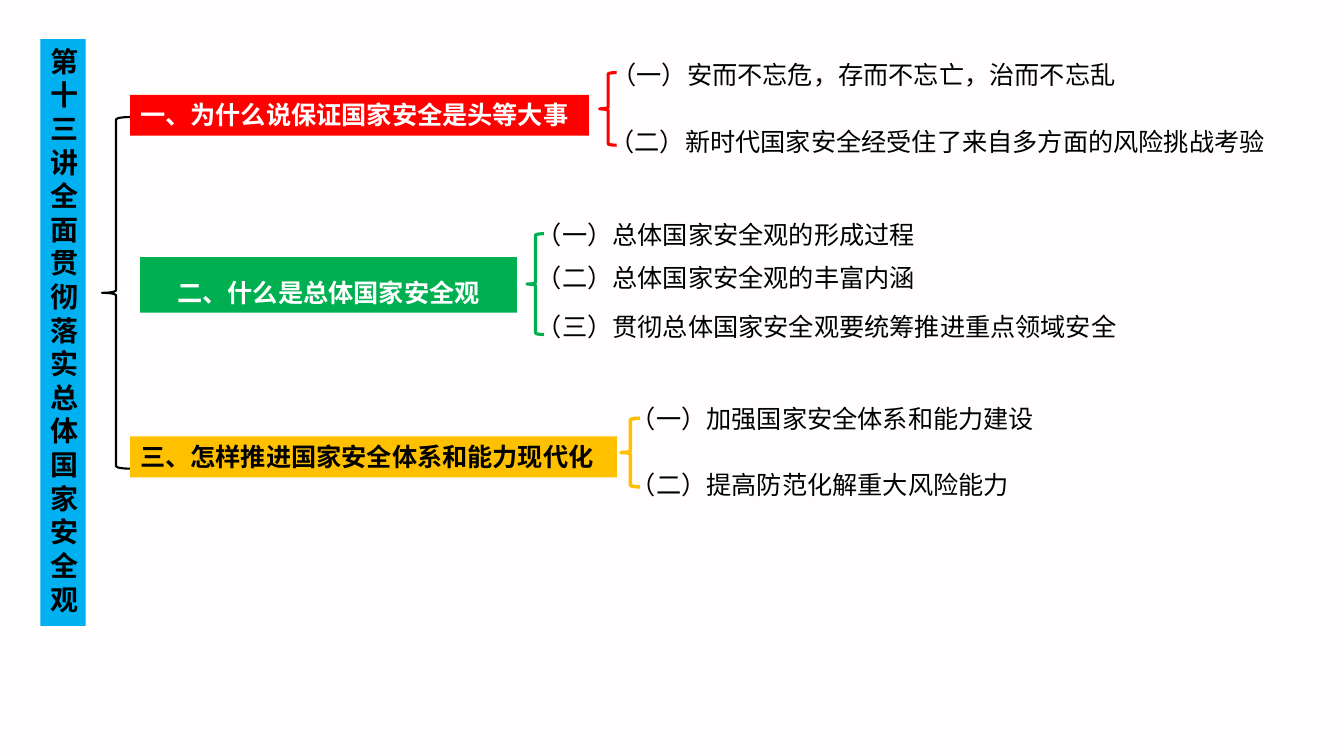
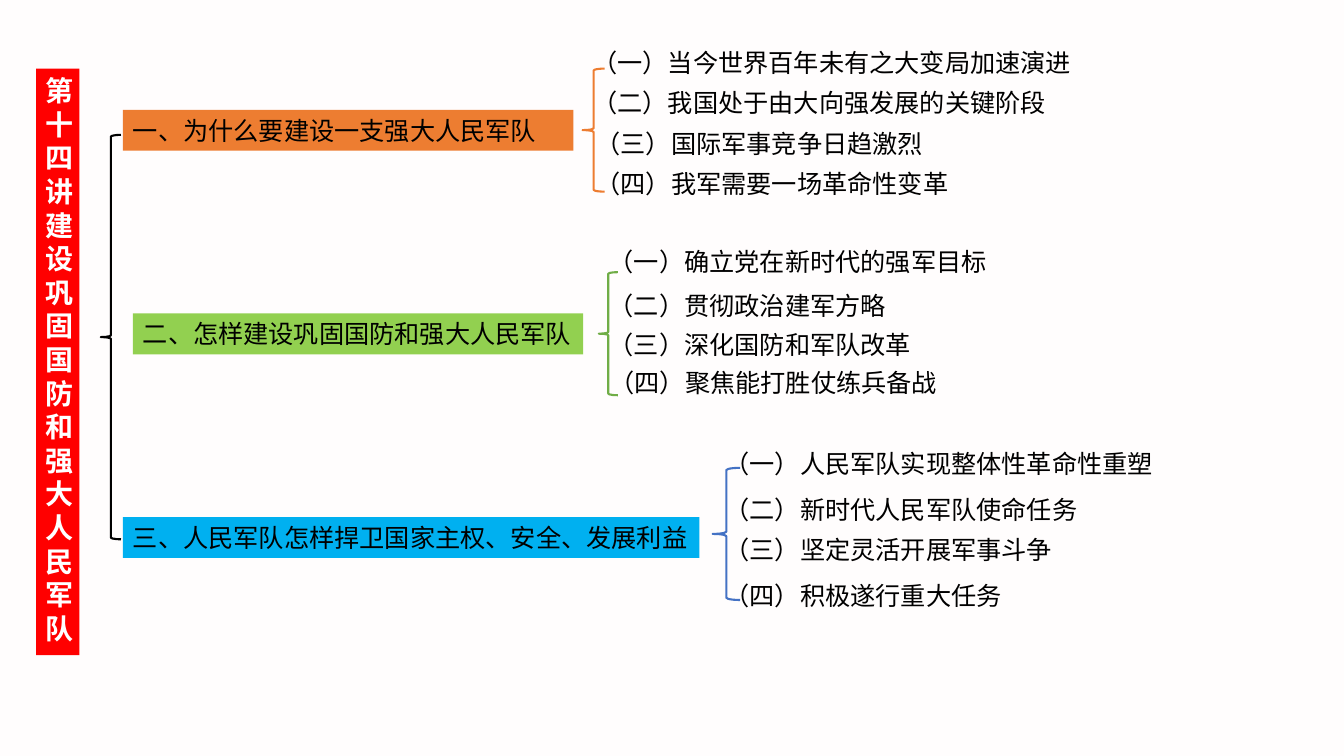
from lxml import etree
from pptx import Presentation
from pptx.dml.color import RGBColor
from pptx.enum.lang import MSO_LANGUAGE_ID
from pptx.enum.shapes import MSO_SHAPE
from pptx.enum.text import MSO_ANCHOR, MSO_AUTO_SIZE, PP_ALIGN
from pptx.oxml.ns import qn
from pptx.util import Cm, Pt

RECTANGLE, LEFT_BRACE = MSO_SHAPE.RECTANGLE, MSO_SHAPE.LEFT_BRACE
LEFT, CENTER = PP_ALIGN.LEFT, PP_ALIGN.CENTER
TOP, GROW = MSO_ANCHOR.TOP, MSO_AUTO_SIZE.SHAPE_TO_FIT_TEXT
CHINESE = MSO_LANGUAGE_ID.SIMPLIFIED_CHINESE

COLORS = {
    "paper": "FFFDFD", "black": "000000", "white": "FFFFFF", "red": "FF0000",
    "sky": "00B0F0", "green": "00B050", "gold": "FFC000", "orange": "ED7D31",
    "lime": "92D050", "leaf": "70AD47", "blue": "4472C4",
}
HEADING_FONT, BODY_FONT = "Noto Sans CJK SC", "Arial"
TITLE_SIZE, BODY_SIZE = 20, 18
ROW_HEIGHT, LOOSE_HEIGHT, LOOSE = 1.03, 1.4, 1.5
TITLE_HEIGHT = 14.78

# Boxes are (left, top, width) or (left, top, width, height) in centimetres.
# A point is (text, left, top, width), with its line spacing last if not single.
LECTURES = [
    {
        "title": ["第十三讲", "全面贯彻落实总体国家安全观"],
        "title_box": (1.02, 0.99, 1.14), "title_fill": "sky", "title_color": "black",
        "brace": (2.57, 2.95, 0.71, 8.86),
        "heading_font": HEADING_FONT, "heading_bold": True,
        "branches": [
            {
                "heading": ("一、为什么说保证国家安全是头等大事", 3.28, 2.39, 11.56),
                "fill": "red", "color": "white",
                "brace": (15.11, 1.83, 0.43, 1.83), "line": ("red", 2.25),
                "points": [
                    ("（一）安而不忘危，存而不忘亡，治而不忘乱", 15.16, 0.99, 13.54, LOOSE),
                    ("（二）新时代国家安全经受住了来自多方面的风险挑战考验", 15.11, 2.69, 17.55, LOOSE),
                ],
            },
            {
                "heading": ("二、什么是总体国家安全观", 3.53, 6.48, 9.5, LOOSE),
                "fill": "green", "color": "white", "align": CENTER,
                "brace": (13.28, 5.89, 0.43, 2.54), "line": ("green", 2.25),
                "points": [
                    ("（一）总体国家安全观的形成过程", 13.28, 5.03, 16.94, LOOSE),
                    ("（二）总体国家安全观的丰富内涵", 13.28, 6.48, 11.07),
                    ("（三）贯彻总体国家安全观要统筹推进重点领域安全", 13.28, 7.72, 15.32),
                ],
            },
            {
                "heading": ("三、怎样推进国家安全体系和能力现代化", 3.28, 11, 12.27),
                "fill": "gold", "color": "black",
                "brace": (15.65, 10.54, 0.48, 1.73), "line": ("gold", 2.5),
                "points": [
                    ("（一）加强国家安全体系和能力建设", 15.65, 10.03, 10.85),
                    ("（二）提高防范化解重大风险能力", 15.65, 11.71, 10.36),
                ],
            },
        ],
    },
    {
        "title": ["第十四讲建设巩固国防和强大人民军队"],
        "title_box": (0.91, 1.73, 1.09), "title_fill": "red", "title_color": "white",
        "brace": (2.54, 3.4, 0.51, 10.19),
        "heading_font": BODY_FONT, "heading_bold": False,
        "branches": [
            {
                "heading": ("一、为什么要建设一支强大人民军队", 3.1, 2.77, 11.35),
                "fill": "orange", "color": "black",
                "brace": (14.68, 1.73, 0.56, 3.1), "line": ("orange", 1.5),
                "points": [
                    ("（一）当今世界百年未有之大变局加速演进", 14.68, 1.07, 12.62),
                    ("（二）我国处于由大向强发展的关键阶段", 14.68, 2.08, 11.94),
                    ("（三）国际军事竞争日趋激烈", 14.76, 3.1, 9.09),
                    ("（四）我军需要一场革命性变革", 14.76, 4.11, 9.5),
                ],
            },
            {
                "heading": ("二、怎样建设巩固国防和强大人民军队", 3.35, 7.9, 11.35),
                "fill": "lime", "color": "black",
                "brace": (15.09, 6.86, 0.48, 3.1), "line": ("leaf", 1.5),
                "points": [
                    ("（一）确立党在新时代的强军目标", 15.09, 6.07, 10.08),
                    ("（二）贯彻政治建军方略", 15.09, 7.19, 7.8),
                    ("（三）深化国防和军队改革", 15.09, 8.18, 8.15),
                    ("（四）聚焦能打胜仗练兵备战", 15.11, 9.14, 9.25),
                ],
            },
            {
                "heading": ("三、人民军队怎样捍卫国家主权、安全、发展利益", 3.1, 13.03, 14.53),
                "fill": "sky", "color": "black",
                "brace": (17.96, 11.79, 0.69, 3.33), "line": ("blue", 1.5),
                "points": [
                    ("（一）人民军队实现整体性革命性重塑", 18.01, 11.18, 11.53),
                    ("（二）新时代人民军队使命任务", 18.01, 12.32, 9.78),
                    ("（三）坚定灵活开展军事斗争", 18.01, 13.34, 9.35),
                    ("（四）积极遂行重大任务", 18.01, 14.5, 8.26),
                ],
            },
        ],
    },
]


def rgb(name):
    return RGBColor.from_string(COLORS[name])


def add_panel(slide, box, fill):
    panel = slide.shapes.add_shape(RECTANGLE, *map(Cm, box))
    panel.shadow.inherit = False
    panel.fill.solid()
    panel.fill.fore_color.rgb = rgb(fill)
    panel.line.fill.background()
    return panel


def add_brace(slide, box, color, weight):
    brace = slide.shapes.add_shape(LEFT_BRACE, *map(Cm, box))
    brace.shadow.inherit = False
    brace.fill.background()
    brace.line.color.rgb = rgb(color)
    brace.line.width = Pt(weight)


def write(shape, lines, font_name=BODY_FONT, size=BODY_SIZE, color="black",
          bold=False, align=LEFT, spacing=None):
    frame = shape.text_frame
    frame.text = "\n".join(lines)
    frame.word_wrap = True
    frame.auto_size = GROW
    frame.vertical_anchor = TOP
    for paragraph in frame.paragraphs:
        paragraph.alignment = align
        paragraph.line_spacing = spacing
        font = paragraph.font
        font.name, font.size, font.bold = font_name, Pt(size), bold
        font.color.rgb = rgb(color)
        font.language_id = CHINESE
        run_defaults = paragraph._p.pPr.find(qn("a:defRPr"))
        etree.SubElement(run_defaults, qn("a:ea"), typeface=HEADING_FONT)


def add_row(slide, row, fill=None, **style):
    """Add one line of text, on a coloured panel if a fill is given."""
    text, left, top, width, *spacing = row
    box = (left, top, width, LOOSE_HEIGHT if spacing else ROW_HEIGHT)
    if fill:
        shape = add_panel(slide, box, fill)
    else:
        shape = slide.shapes.add_textbox(*map(Cm, box))
    write(shape, [text], spacing=spacing[0] if spacing else None, **style)


def add_lecture(slide, lecture):
    title = add_panel(slide, (*lecture["title_box"], TITLE_HEIGHT), lecture["title_fill"])
    write(title, lecture["title"], HEADING_FONT, TITLE_SIZE,
          lecture["title_color"], bold=True, align=CENTER)
    add_brace(slide, lecture["brace"], "black", 1.5)
    for branch in lecture["branches"]:
        add_row(slide, branch["heading"], branch["fill"], color=branch["color"],
                font_name=lecture["heading_font"], bold=lecture["heading_bold"],
                align=branch.get("align", LEFT))
        add_brace(slide, branch["brace"], *branch["line"])
        for point in branch["points"]:
            add_row(slide, point)


def main():
    deck = Presentation()
    deck.slide_width, deck.slide_height = Cm(33.87), Cm(19.05)
    paper = deck.slide_master.background.fill
    paper.solid()
    paper.fore_color.rgb = rgb("paper")
    blank = deck.slide_layouts[6]
    for lecture in LECTURES:
        add_lecture(deck.slides.add_slide(blank), lecture)
    deck.save("out.pptx")


if __name__ == "__main__":
    main()
